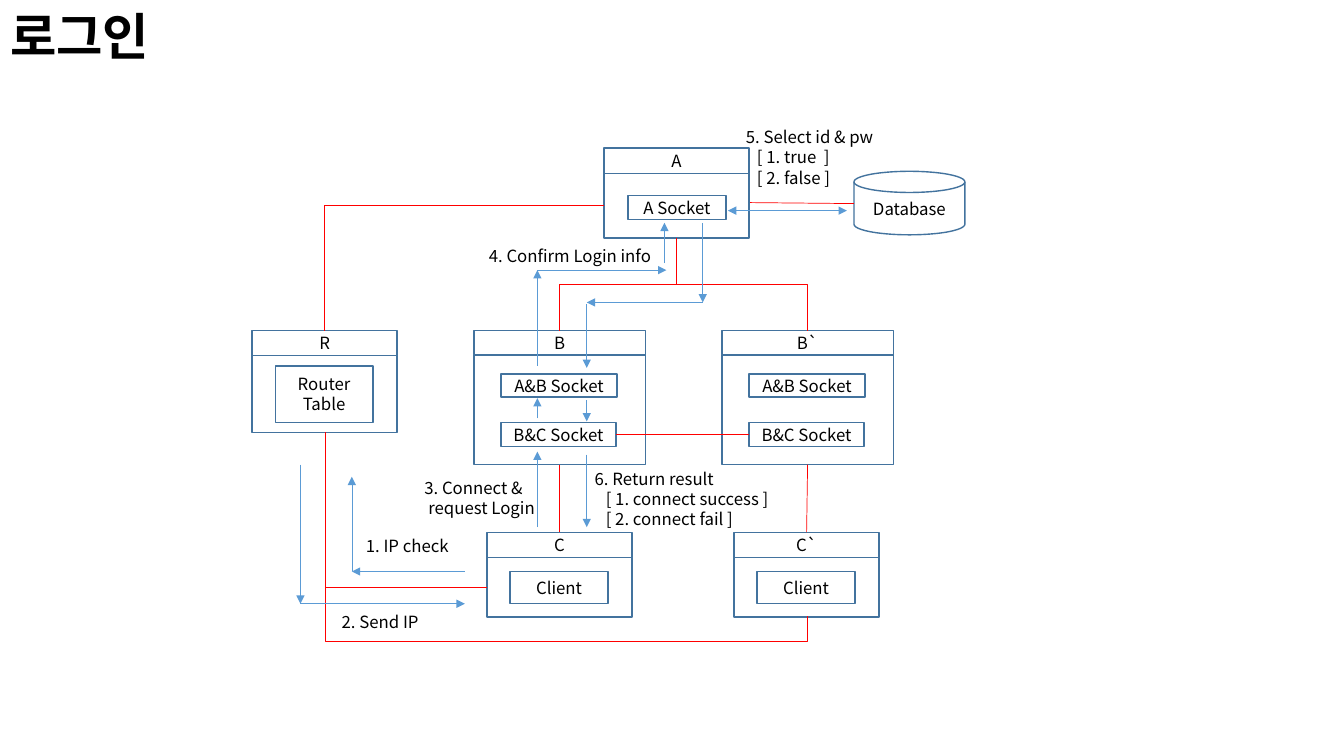
from lxml import etree
from pptx import Presentation
from pptx.dml.color import RGBColor
from pptx.enum.shapes import MSO_CONNECTOR, MSO_SHAPE
from pptx.enum.text import MSO_ANCHOR, MSO_AUTO_SIZE, PP_ALIGN
from pptx.oxml.ns import qn
from pptx.util import Inches, Pt

RECT, DISK = MSO_SHAPE.RECTANGLE, MSO_SHAPE.FLOWCHART_MAGNETIC_DISK
LINE, ELBOW = MSO_CONNECTOR.STRAIGHT, MSO_CONNECTOR.ELBOW
MIDDLE, TOP = MSO_ANCHOR.MIDDLE, MSO_ANCHOR.TOP
LEFT, CENTER = PP_ALIGN.LEFT, PP_ALIGN.CENTER
NO_FIT = MSO_AUTO_SIZE.NONE
NORTH, WEST, SOUTH, EAST = range(4)
FONT = "Noto Sans CJK KR"
COLORS = {"text": "000000", "edge": "43739E", "link": "FF0000", "flow": "5B9BD5"}


def color(key):
    return RGBColor.from_string(COLORS[key])


def write(shape, lines, size=12, bold=False, align=LEFT, anchor=TOP):
    frame = shape.text_frame
    frame.word_wrap = False
    frame.auto_size = NO_FIT
    frame.vertical_anchor = anchor
    frame.margin_left = frame.margin_right = Inches(0.1)
    frame.margin_top = frame.margin_bottom = Inches(0.05)
    for i, (text, indent) in enumerate(lines):
        para = frame.add_paragraph() if i else frame.paragraphs[0]
        para.alignment = align
        if indent:
            props = para._p.get_or_add_pPr()
            props.set("marL", str(Inches(indent)))
            props.set("indent", "0")
        run = para.add_run()
        run.text = text
        font = run.font
        font.name, font.size, font.bold = FONT, Pt(size), bold
        font.color.rgb = color("text")
        etree.SubElement(run._r.get_or_add_rPr(), qn("a:ea"), typeface=FONT)


def block(slide, box, lines=(), kind=RECT):
    shape = slide.shapes.add_shape(kind, *map(Inches, box))
    shape.shadow.inherit = False
    shape.fill.background()
    shape.line.color.rgb = color("edge")
    shape.line.width = Pt(1)
    if lines:
        write(shape, [(text, 0) for text in lines], align=CENTER, anchor=MIDDLE)
    return shape


def node(slide, box, name, bar, parts):
    x, y, w, h = box
    head = block(slide, (x, y, w, bar), [name])
    body = block(slide, (x, y + bar, w, h - bar))
    inner = [block(slide, (x + dx, y + dy, pw, ph), lines)
             for dx, dy, pw, ph, lines in parts]
    return head, body, inner


def style(wire, key):
    wire.line.color.rgb = color(key)
    wire.line.width = Pt(0.5)
    etree.SubElement(wire._element.spPr, qn("a:effectLst"))


def line(slide, start, end, key="flow", ends=("tailEnd",)):
    wire = slide.shapes.add_connector(LINE, *map(Inches, (*start, *end)))
    style(wire, key)
    for tag in ends:
        etree.SubElement(wire.line._get_or_add_ln(), qn("a:" + tag), type="triangle")
    return wire


def link(slide, start, end, first, last):
    wire = line(slide, start, end, "link", ())
    wire.begin_connect(*first)
    wire.end_connect(*last)


def elbow(slide, box, turn, flips, first, last, preset="bentConnector3", bend=None):
    wire = slide.shapes.add_connector(ELBOW, 0, 0, 0, 0)
    wire.begin_connect(*first)
    wire.end_connect(*last)
    wire.left, wire.top, wire.width, wire.height = map(Inches, box)
    props = wire._element.spPr
    frame = props.find(qn("a:xfrm"))
    frame.set("rot", str(turn * 60000))
    for axis in "HV":
        frame.set("flip" + axis, str(int(axis in flips)))
    shape = props.find(qn("a:prstGeom"))
    shape.set("prst", preset)
    if bend is not None:
        guides = shape.find(qn("a:avLst"))
        etree.SubElement(guides, qn("a:gd"), name="adj1", fmla=f"val {round(bend * 100000)}")
    style(wire, "link")


def note(slide, box, *lines):
    write(slide.shapes.add_textbox(*map(Inches, box)), lines)


def title(slide, box):
    shape = slide.shapes.title
    shape.left, shape.top, shape.width, shape.height = map(Inches, box)
    write(shape, [("로그인", 0)], 36, True)


def nodes(slide):
    pair = [(0.27, 0.43, 1.15, 0.23, ["A&B Socket"]),
            (0.27, 0.91, 1.14, 0.24, ["B&C Socket"])]
    user = [(0.23, 0.39, 0.97, 0.32, ["Client"])]
    specs = [
        ("A", (5.99, 1.47, 1.44, 0.89), 0.25, [(0.24, 0.47, 0.97, 0.24, ["A Socket"])]),
        ("R", (2.5, 3.28, 1.44, 1.01), 0.25, [(0.23, 0.35, 0.97, 0.56, ["Router", "Table"])]),
        ("B", (4.7, 3.28, 1.7, 1.33), 0.24, pair),
        ("B`", (7.16, 3.28, 1.7, 1.33), 0.24, pair),
        ("C", (4.83, 5.28, 1.44, 0.84), 0.25, user),
        ("C`", (7.28, 5.28, 1.44, 0.84), 0.25, user)]
    return {name: node(slide, box, name, bar, parts) for name, box, bar, parts in specs}


def links(slide, made):
    head = {name: parts[0] for name, parts in made.items()}
    body = {name: parts[1] for name, parts in made.items()}
    port = {name: made[name][2][1] for name in ("B", "B`")}
    elbow(slide, (3.22, 2.04, 2.77, 1.24), 180, "V",
          (body["A"], WEST), (head["R"], NORTH), "bentConnector2")
    elbow(slide, (3.26, 4.26, 1.54, 1.6), 270, "H",
          (body["R"], SOUTH), (body["C"], WEST), "bentConnector2")
    elbow(slide, (4.7, 2.81, 1.83, 4.78), 90, "H",
          (body["C`"], SOUTH), (body["R"], SOUTH), bend=-0.136)
    elbow(slide, (5.67, 2.24, 0.92, 1.16), 90, "HV",
          (head["B"], NORTH), (body["A"], SOUTH))
    elbow(slide, (6.9, 2.17, 0.92, 1.3), 270, "V",
          (head["B`"], NORTH), (body["A"], SOUTH))
    for low, high, x in (("C", "B", 5.55), ("C`", "B`", 8)):
        link(slide, (x, 4.61), (x, 5.28), (body[high], SOUTH), (head[low], NORTH))
    link(slide, (6.12, 4.31), (7.44, 4.31), (port["B"], EAST), (port["B`"], WEST))
    line(slide, (7.44, 2.01), (8.47, 2.02), "link", ())


def flows(slide):
    up, down = 5.33, 5.82
    for start, end in [
            ((4.61, 5.67), (3.49, 5.67)), ((3.49, 5.66), (3.49, 4.73)),
            ((2.98, 4.61), (2.98, 5.99)), ((2.98, 5.99), (4.61, 5.99)),
            ((up, 5.23), (up, 4.48)), ((up, 4.15), (up, 3.95)),
            ((up, 3.63), (up, 2.68)), ((up, 2.68), (6.61, 2.68)),
            ((6.59, 2.61), (6.59, 2.21)), ((6.97, 2.21), (6.97, 3)),
            ((6.97, 3), (down, 3)), ((down, 3.02), (down, 3.65)),
            ((down, 3.97), (down, 4.18)), ((down, 4.51), (down, 5.23))]:
        line(slide, start, end)
    line(slide, (7.22, 2.09), (8.4, 2.09), ends=("headEnd", "tailEnd"))


def notes(slide):
    note(slide, (3.53, 5.27, 1.02, 0.3), ("1. IP check", 0))
    note(slide, (3.29, 6.02, 0.97, 0.3), ("2. Send IP", 0))
    note(slide, (4.11, 4.69, 1.31, 0.5), ("3. Connect &", 0), ("request Login", 0.04))
    note(slide, (4.75, 2.39, 1.84, 0.3), ("4. Confirm Login info", 0))
    note(slide, (7.3, 1.21, 1.53, 0.71), ("5. Select id & pw", 0),
         ("[ 1. true  ]", 0.11), ("[ 2. false ]", 0.11))
    note(slide, (5.8, 4.6, 2.08, 0.71), ("6. Return result", 0),
         ("[ 1. connect success ]", 0.11), ("[ 2. connect fail ]", 0.11))


deck = Presentation()
deck.slide_width, deck.slide_height = Inches(13.33), Inches(7.5)
page = deck.slides.add_slide(deck.slide_layouts[5])
title(page, (0, 0, 1.72, 0.71))
made = nodes(page)
block(page, (8.47, 1.7, 1.1, 0.63), ["Database"], DISK)
links(page, made)
flows(page)
notes(page)
deck.save("out.pptx")
